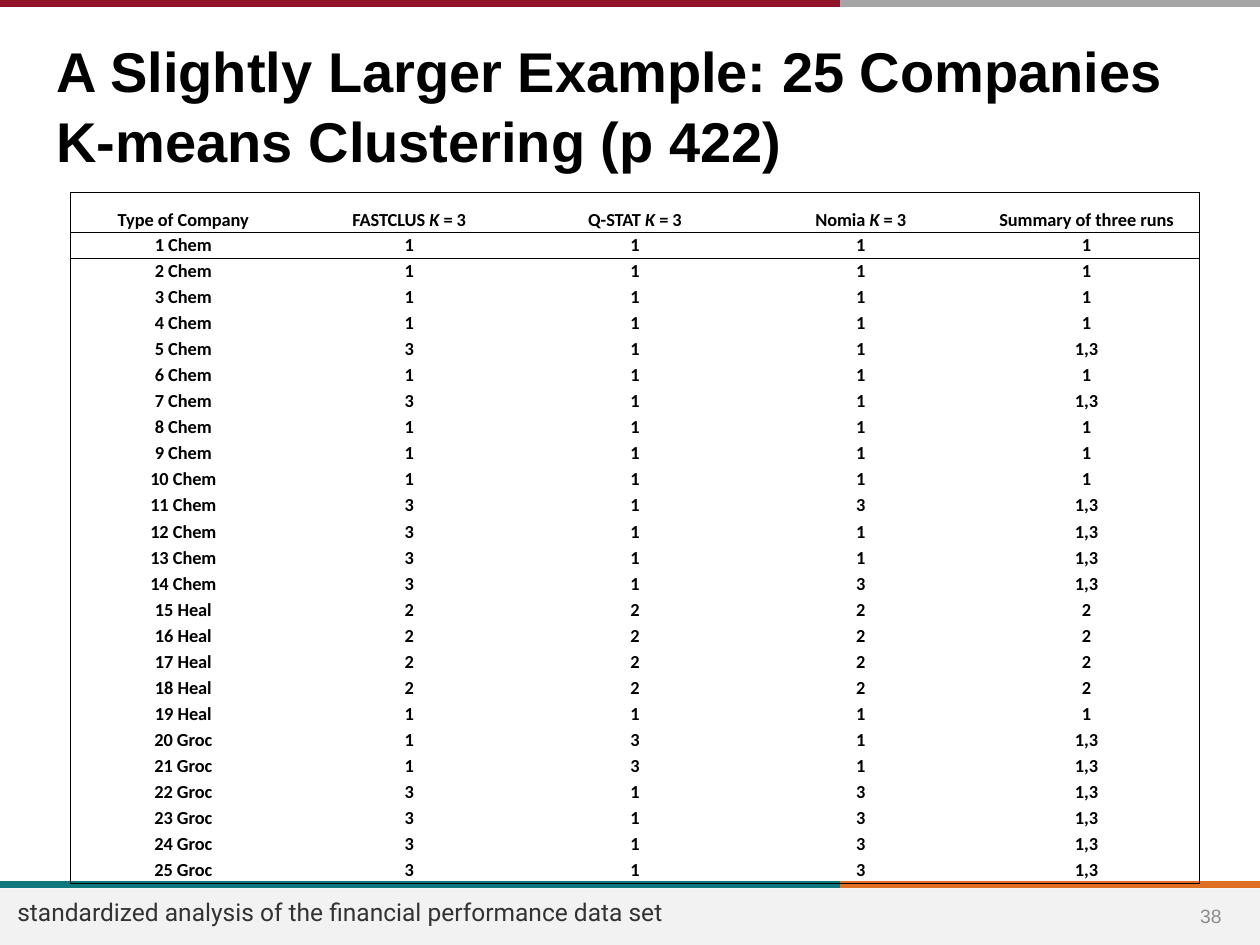
from lxml.etree import SubElement as Sub
from pptx import Presentation
from pptx.dml.color import RGBColor as Rgb
from pptx.enum.shapes import MSO_CONNECTOR as Conn, MSO_SHAPE as Shape
from pptx.enum.text import MSO_ANCHOR as Anchor, PP_ALIGN as Align
from pptx.oxml.ns import qn
from pptx.util import Cm, Pt

TITLE = "A Slightly Larger Example: 25 Companies\vK-means Clustering (p 422)"
NOTE = "standardized analysis of the financial performance data set"
PAGE = "38"
HEADS = [
    ("Type of Company",),
    ("FASTCLUS ", "K", " = 3"),
    ("Q-STAT ", "K", " = 3"),
    ("Nomia ", "K", " = 3"),
    ("Summary of three runs",),
]
GROUPS = [
    ("Chem", ["111", "111", "111", "111", "311", "111", "311",
              "111", "111", "111", "313", "311", "311", "313"]),
    ("Heal", ["222", "222", "222", "222", "111"]),
    ("Groc", ["131", "131", "313", "313", "313", "313"]),
]
INK = {
    "black": "000000", "dark": "333333", "grey": "8C8C8C", "pale": "F2F2F2",
    "red": "90152A", "silver": "A6A6A6", "teal": "0F787D", "orange": "DF7023",
}
WIDE, HIGH, SPLIT = 25.4, 19.05, 16.93
RULES = [
    (SPLIT, WIDE, 17.83, "orange"), (0, SPLIT, 17.83, "teal"),
    (SPLIT, WIDE, 0.07, "silver"), (0, SPLIT, 0.07, "red"),
]
LEFT, TOP, SPAN, DEPTH, HEAD = 1.42, 3.88, 22.76, 13.95, 0.81
NO_GRID = "{2D5ABB26-0587-4C30-8999-92F81FD0307C}"


def color(name):
    return Rgb.from_string(INK[name])


def style(font, face, size, ink, bold=False):
    font.name, font.size, font.bold = face, Pt(size), bold
    font.color.rgb = color(ink)


def add_text(slide, text, box, face, size, ink, bold=False,
             align=Align.LEFT, anchor=Anchor.TOP):
    frame = slide.shapes.add_textbox(*map(Cm, box)).text_frame
    frame.word_wrap = True
    frame.vertical_anchor = anchor
    para = frame.paragraphs[0]
    para.text, para.alignment = text, align
    style(para.font, face, size, ink, bold)
    return para


def add_rule(slide, start, end, y, ink):
    rule = slide.shapes.add_connector(
        Conn.STRAIGHT, Cm(start), Cm(y), Cm(end), Cm(y))
    rule.line.color.rgb = color(ink)
    rule.line.width = Pt(4)
    Sub(rule._element.spPr, qn("a:effectLst"))


def set_edges(cell, sides):
    props = cell._tc.get_or_add_tcPr()
    for side in "LRTB":
        if side in sides:
            edge = Sub(props, qn("a:ln" + side), w=str(Pt(0.75)))
            fill = Sub(edge, qn("a:solidFill"))
            Sub(fill, qn("a:srgbClr"), val=INK["black"])


def fill_cell(cell, parts, head):
    cell.margin_left = cell.margin_right = Cm(0.04)
    cell.margin_top = cell.margin_bottom = Cm(0.03)
    cell.vertical_anchor = Anchor.BOTTOM if head else Anchor.TOP
    para = cell.text_frame.paragraphs[0]
    para.alignment = Align.CENTER
    style(para.font, "Calibri", 10.5, "black", True)
    for part in parts:
        run = para.add_run()
        run.text = part
        if part == "K":
            run.font.italic = True


def list_rows():
    rows = [HEADS]
    for kind, codes in GROUPS:
        for code in codes:
            cells = [f"{len(rows)} {kind}", *code, ",".join(sorted(set(code)))]
            rows.append([(text,) for text in cells])
    return rows


def add_grid(slide):
    rows = list_rows()
    last, end = len(rows) - 1, len(HEADS) - 1
    grid = slide.shapes.add_table(
        len(rows), len(HEADS), Cm(LEFT), Cm(TOP), Cm(SPAN), Cm(DEPTH)).table
    grid.first_row = grid.horz_banding = False
    grid._tbl.tblPr.find(qn("a:tableStyleId")).text = NO_GRID
    for col in grid.columns:
        col.width = Cm(SPAN / len(HEADS))
    for r, row in enumerate(rows):
        grid.rows[r].height = Cm((DEPTH - HEAD) / last if r else HEAD)
        for c, parts in enumerate(row):
            cell = grid.cell(r, c)
            fill_cell(cell, parts, r == 0)
            tests = [("L", c == 0), ("R", c == end),
                     ("T", r in (0, 1)), ("B", r in (0, last))]
            set_edges(cell, [side for side, on in tests if on])
            cell.fill.background()


def main():
    deck = Presentation()
    deck.slide_width, deck.slide_height = Cm(WIDE), Cm(HIGH)
    slide = deck.slides.add_slide(deck.slide_layouts[6])
    for rule in RULES[:2]:
        add_rule(slide, *rule)
    band = slide.shapes.add_shape(
        Shape.RECTANGLE, 0, Cm(17.91), Cm(WIDE), Cm(HIGH - 17.91))
    band.shadow.inherit = False
    band.fill.solid()
    band.fill.fore_color.rgb = color("pale")
    band.line.fill.background()
    for rule in RULES[2:]:
        add_rule(slide, *rule)
    title = add_text(slide, TITLE, (0.89, 0.51, 22.86, 3.18), "Arial", 32,
                     "black", True, anchor=Anchor.MIDDLE)
    title.line_spacing = 1.04
    add_text(slide, PAGE, (23.75, 17.96, 1.32, 1.02), "Arial", 11, "grey",
             align=Align.CENTER, anchor=Anchor.MIDDLE)
    add_grid(slide)
    add_text(slide, NOTE, (0.1, 17.96, 18.64, 0.86), "Roboto", 14, "dark")
    deck.save("out.pptx")


if __name__ == "__main__":
    main()
